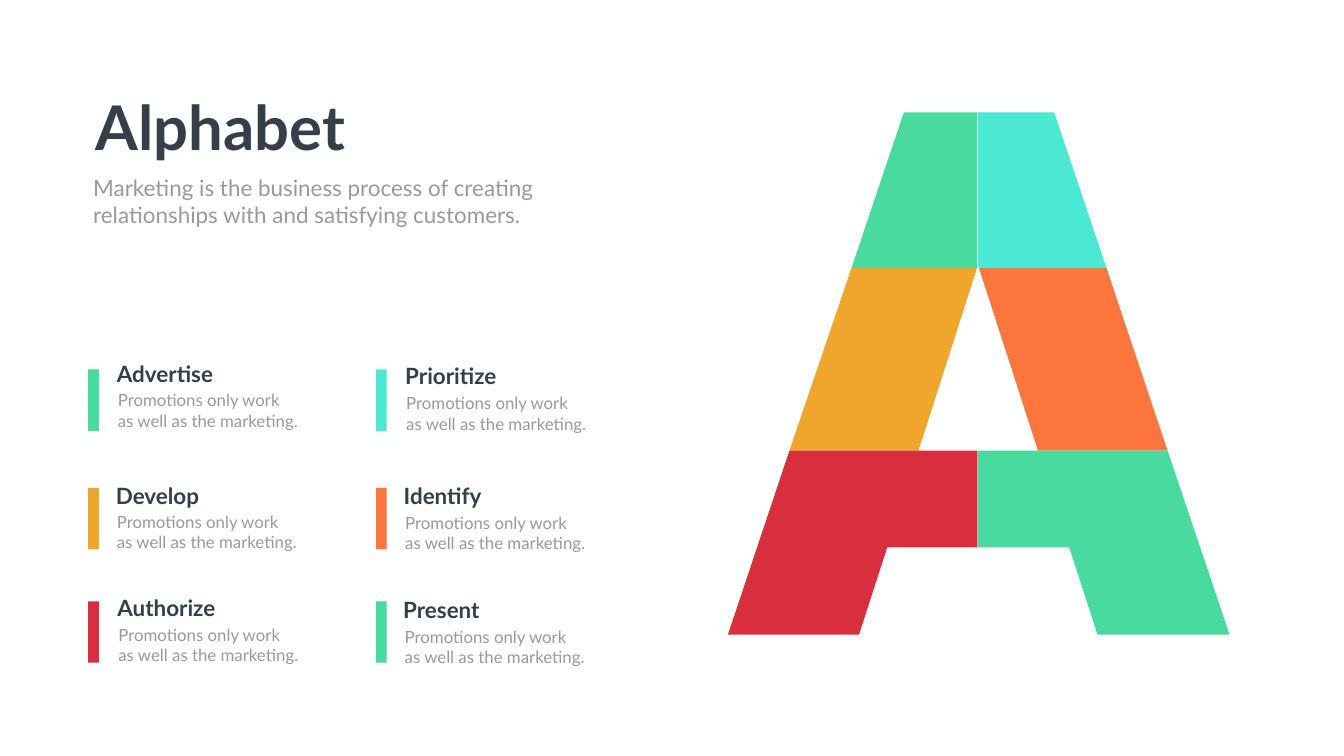
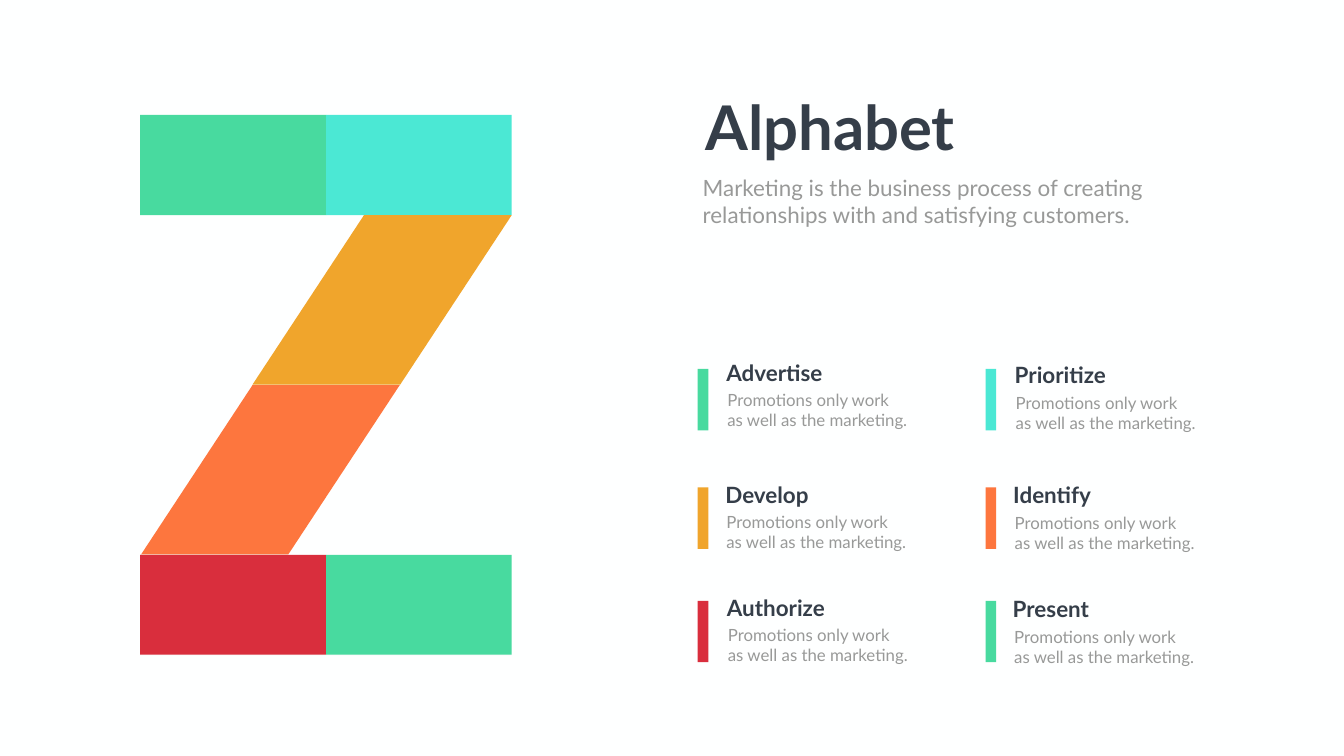
from dataclasses import dataclass
from typing import Any, Union

from pptx import Presentation
from pptx.dml.color import RGBColor
from pptx.enum.shapes import MSO_SHAPE
from pptx.enum.text import MSO_AUTO_SIZE, PP_ALIGN
from pptx.util import Pt

RECTANGLE = MSO_SHAPE.RECTANGLE
GROW = MSO_AUTO_SIZE.SHAPE_TO_FIT_TEXT
LEFT = PP_ALIGN.LEFT
CENTER = PP_ALIGN.CENTER

EMU_PER_PX = 9144
PAGE_WIDTH, PAGE_HEIGHT = 2666, 1500
BLANK = 6


@dataclass(frozen=True)
class Theme:
    font: str = "Lato"
    background: str = "FEFFFF"
    ink: str = "353E49"
    grey: str = "989998"
    seam: str = "EAEAEA"
    green: str = "48DA9F"
    aqua: str = "4BE8D4"
    amber: str = "F0A52C"
    orange: str = "FD763E"
    red: str = "D92E3D"
    title_size: int = 88
    heading_size: int = 32
    note_size: int = 24


THEME = Theme()


@dataclass(frozen=True)
class Block:
    colour: str
    left: int
    top: int
    width: int
    height: int


@dataclass(frozen=True)
class Polygon:
    colour: str
    points: tuple[tuple[int, int], ...]


@dataclass(frozen=True)
class Item:
    heading: str
    colour: str
    bar_at: tuple[int, int]
    heading_at: tuple[int, int]
    note_at: tuple[int, int]


@dataclass(frozen=True)
class LetterPage:
    panel_left: int
    panel_top: int
    letter: tuple[Union[Block, Polygon], ...]


TITLE = "Alphabet"
SUBTITLE = (
    "Marketing is the business process of creating",
    "relationships with and satisfying customers.",
)
NOTE = ("Promotions only work", "as well as the marketing.")

BAR_WIDTH, BAR_HEIGHT = 21, 122
COLUMNS = (0, 571)
ROWS = (561, 796, 1021)

ITEMS = (
    Item("Advertise", THEME.green, (COLUMNS[0], ROWS[0]), (47, 537), (49, 597)),
    Item("Prioritize", THEME.aqua, (COLUMNS[1], ROWS[0]), (619, 541), (621, 603)),
    Item("Develop", THEME.amber, (COLUMNS[0], ROWS[1]), (45, 779), (47, 839)),
    Item("Identify", THEME.orange, (COLUMNS[1], ROWS[1]), (616, 779), (619, 841)),
    Item("Authorize", THEME.red, (COLUMNS[0], ROWS[2]), (48, 1002), (50, 1063)),
    Item("Present", THEME.green, (COLUMNS[1], ROWS[2]), (615, 1005), (618, 1067)),
)

LETTER_A = (
    Polygon(THEME.green, ((1793, 223), (1939, 223), (1939, 528), (1938, 532), (1689, 532))),
    Polygon(THEME.amber, ((1689, 532), (1938, 532), (1822, 894), (1566, 894))),
    Polygon(
        THEME.red,
        ((1566, 894), (1939, 894), (1939, 1086), (1760, 1086), (1704, 1259), (1444, 1259)),
    ),
    Polygon(THEME.aqua, ((1940, 223), (2091, 223), (2195, 532), (1942, 532), (1940, 526))),
    Polygon(THEME.orange, ((1942, 532), (2195, 532), (2316, 894), (2059, 894))),
    Polygon(
        THEME.green,
        ((1940, 894), (2316, 894), (2439, 1259), (2177, 1259), (2121, 1086), (1940, 1086)),
    ),
    Block(THEME.seam, 1939, 223, 1, 305),
    Block(THEME.seam, 1939, 894, 1, 192),
)

LETTER_Z = (
    Block(THEME.seam, 278, 1299, 737, 1),
    Block(THEME.seam, 501, 763, 293, 1),
    Block(THEME.seam, 278, 1100, 294, 1),
    Block(THEME.green, 278, 228, 369, 199),
    Block(THEME.aqua, 647, 228, 368, 199),
    Block(THEME.red, 278, 1101, 369, 198),
    Polygon(THEME.orange, ((501, 764), (793, 764), (572, 1100), (280, 1100))),
    Polygon(THEME.amber, ((722, 427), (1015, 427), (794, 763), (501, 763))),
    Block(THEME.green, 647, 1101, 368, 198),
)

PAGES = (LetterPage(175, 172, LETTER_A), LetterPage(1384, 171, LETTER_Z))


def px(length: int) -> int:
    return length * EMU_PER_PX


def paint(shape: Any, colour: str) -> None:
    shape.shadow.inherit = False
    shape.fill.solid()
    shape.fill.fore_color.rgb = RGBColor.from_string(colour)
    shape.line.fill.background()


def draw_block(shapes: Any, block: Block) -> None:
    bounds = (block.left, block.top, block.width, block.height)
    paint(shapes.add_shape(RECTANGLE, *map(px, bounds)), block.colour)


def draw_polygon(shapes: Any, polygon: Polygon) -> None:
    start, *corners = polygon.points
    builder = shapes.build_freeform(*start, scale=EMU_PER_PX)
    builder.add_line_segments(corners, close=True)
    paint(builder.convert_to_shape(), polygon.colour)


def add_text(
    shapes: Any,
    lines: tuple[str, ...],
    *,
    left: int,
    top: int,
    width: int,
    height: int,
    size: int,
    colour: str,
    bold: bool = False,
    wrap: bool = True,
    align: PP_ALIGN = LEFT,
) -> None:
    box = shapes.add_textbox(px(left), px(top), px(width), px(height))
    frame = box.text_frame
    frame.word_wrap = wrap
    frame.auto_size = GROW
    for index, line in enumerate(lines):
        para = frame.add_paragraph() if index else frame.paragraphs[0]
        para.alignment = align
        span = para.add_run()
        span.text = line
        span.font.name = THEME.font
        span.font.size = Pt(size)
        span.font.bold = bold
        span.font.color.rgb = RGBColor.from_string(colour)


def draw_header(page: Any, left: int, top: int) -> None:
    group = page.shapes.add_group_shape()
    add_text(
        group.shapes, (TITLE,), left=left, top=top, width=525, height=158,
        size=THEME.title_size, colour=THEME.ink, bold=True, wrap=False, align=CENTER,
    )
    add_text(
        group.shapes, SUBTITLE, left=left, top=top + 169, width=908, height=118,
        size=THEME.heading_size, colour=THEME.grey,
    )


def draw_item(page: Any, item: Item, left: int, top: int) -> None:
    bar_x, bar_y = item.bar_at
    heading_x, heading_y = item.heading_at
    note_x, note_y = item.note_at
    draw_block(
        page.shapes,
        Block(item.colour, left + bar_x, top + bar_y, BAR_WIDTH, BAR_HEIGHT),
    )
    group = page.shapes.add_group_shape()
    add_text(
        group.shapes, (item.heading,), left=left + heading_x, top=top + heading_y,
        width=221, height=64, size=THEME.heading_size, colour=THEME.ink, bold=True,
    )
    add_text(
        group.shapes, NOTE, left=left + note_x, top=top + note_y,
        width=382, height=91, size=THEME.note_size, colour=THEME.grey,
    )


def draw_page(deck: Any, content: LetterPage) -> None:
    page = deck.slides.add_slide(deck.slide_layouts[BLANK])
    page.background.fill.solid()
    page.background.fill.fore_color.rgb = RGBColor.from_string(THEME.background)
    for piece in content.letter:
        if isinstance(piece, Block):
            draw_block(page.shapes, piece)
        else:
            draw_polygon(page.shapes, piece)
    draw_header(page, content.panel_left, content.panel_top)
    for item in ITEMS:
        draw_item(page, item, content.panel_left, content.panel_top)


def main() -> None:
    deck = Presentation()
    deck.slide_width = px(PAGE_WIDTH)
    deck.slide_height = px(PAGE_HEIGHT)
    for content in PAGES:
        draw_page(deck, content)
    deck.save("out.pptx")


if __name__ == "__main__":
    main()
